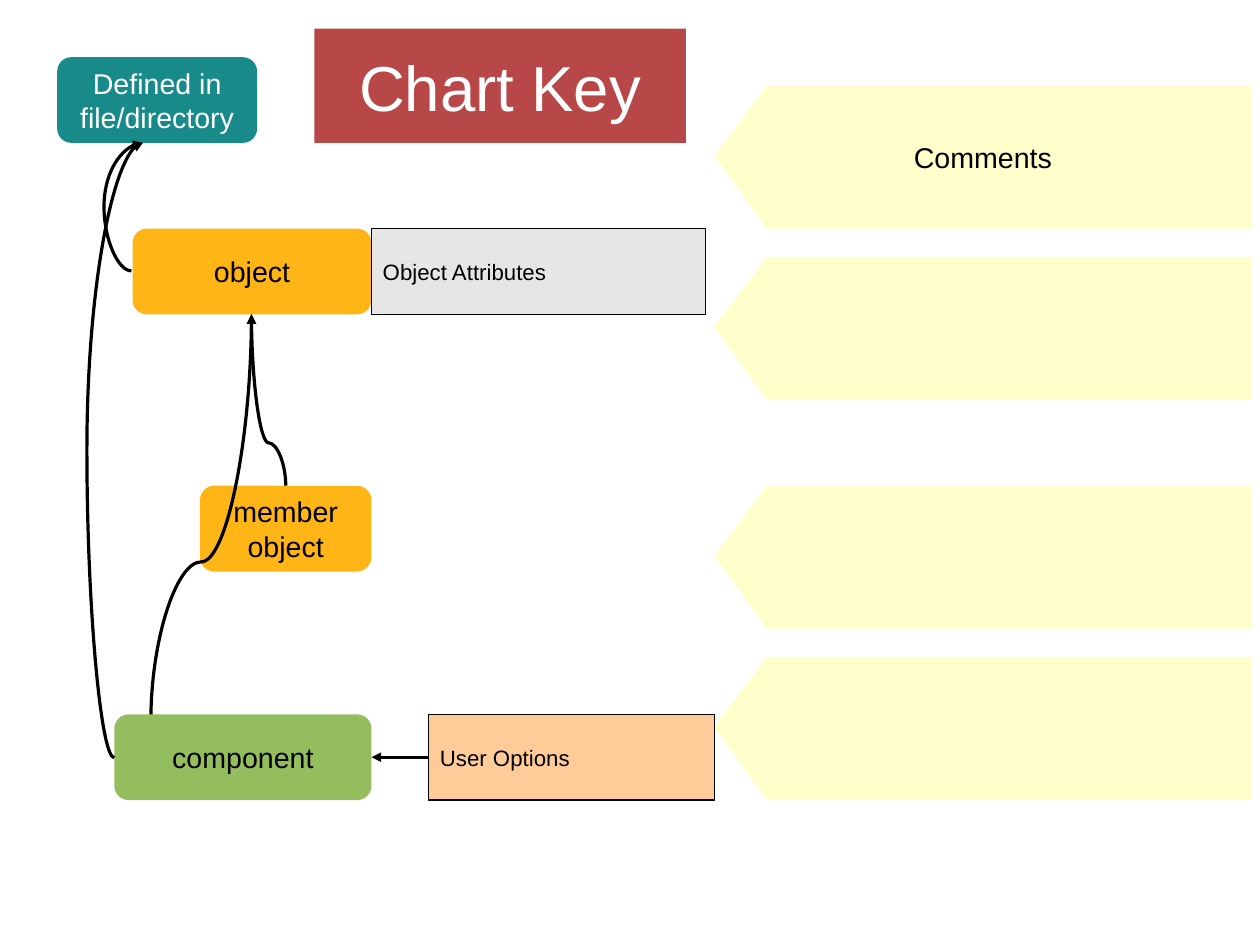
"""Builds the chart key slide: boxes, comment flags and curved links."""
from lxml import etree
from pptx import Presentation
from pptx.dml.color import RGBColor
from pptx.enum.shapes import MSO_CONNECTOR, MSO_SHAPE
from pptx.enum.text import MSO_ANCHOR, MSO_AUTO_SIZE, PP_ALIGN
from pptx.oxml.ns import qn
from pptx.util import Cm, Pt

CURVE, STRAIGHT = MSO_CONNECTOR.CURVE, MSO_CONNECTOR.STRAIGHT
ROUNDED, RECT = MSO_SHAPE.ROUNDED_RECTANGLE, MSO_SHAPE.RECTANGLE
LEFT, CENTER = PP_ALIGN.LEFT, PP_ALIGN.CENTER
MIDDLE, NO_FIT = MSO_ANCHOR.MIDDLE, MSO_AUTO_SIZE.NONE

GRID = 2.54
BLACK, WHITE = "000000", "FFFFFF"
ORANGE, GREEN, TEAL, RED = "FFB515", "94BD5E", "198A8A", "B84747"
GREY, PEACH, CREAM = "E6E6E6", "FFCC99", "FFFFCC"


def rgb(value):
    return RGBColor.from_string(value)


def grid(*values):
    return [Cm(v * GRID) for v in values]


class KeySlide:
    def __init__(self, prs, font="Arial"):
        self.s = prs.slides.add_slide(prs.slide_layouts[5])
        self.font = font

    def text(self, sp, lines, size, color, align):
        tf = sp.text_frame
        tf.word_wrap = True
        tf.auto_size = NO_FIT
        tf.vertical_anchor = MIDDLE
        for i, line in enumerate(lines):
            p = tf.add_paragraph() if i else tf.paragraphs[0]
            p.alignment = align
            r = p.add_run()
            r.text = line
            r.font.name = self.font
            r.font.size = Pt(size)
            r.font.color.rgb = rgb(color)

    def paint(self, sp, fill):
        sp.fill.solid()
        sp.fill.fore_color.rgb = rgb(fill)
        sp.line.fill.background()
        sp.shadow.inherit = False

    def node(self, box, fill, *lines, color=BLACK):
        sp = self.s.shapes.add_shape(ROUNDED, *grid(*box))
        self.paint(sp, fill)
        self.text(sp, lines, 18, color, CENTER)
        return sp

    def panel(self, box, fill, label):
        sp = self.s.shapes.add_shape(RECT, *grid(*box))
        self.paint(sp, fill)
        self.hairline(sp.line)
        self.text(sp, [label], 14, BLACK, LEFT)
        return sp

    def flag(self, top, *lines):
        left, neck, right, bottom = 6.25, 6.71, 10.95, top + 1.25
        outline = [(left, top + 0.61), (neck, top), (right, top), (right, bottom)]
        fb = self.s.shapes.build_freeform(*grid(neck, bottom))
        fb.add_line_segments([grid(*point) for point in outline], close=True)
        sp = fb.convert_to_shape()
        self.paint(sp, CREAM)
        self.text(sp, lines, 18, BLACK, CENTER)

    def title(self, box, fill, label):
        sp = self.s.shapes.title
        sp.left, sp.top, sp.width, sp.height = grid(*box)
        geom = etree.Element(qn("a:prstGeom"), prst="roundRect")
        etree.SubElement(geom, qn("a:avLst"))
        sp.element.spPr.find(qn("a:xfrm")).addnext(geom)
        self.paint(sp, fill)
        self.text(sp, [label], 40, WHITE, CENTER)
        tree = self.s.shapes.element
        tree.remove(sp.element)
        tree.append(sp.element)

    def hairline(self, line):
        line.fill.solid()
        line.fill.fore_color.rgb = rgb(BLACK)
        line.width = Pt(0)

    def arrow(self, kind, start, end):
        cx = self.s.shapes.add_connector(kind, *grid(*start, *end))
        self.hairline(cx.line)
        etree.SubElement(cx.line._get_or_add_ln(), qn("a:tailEnd"), type="triangle")
        etree.SubElement(cx.element.spPr, qn("a:effectLst"))
        return cx

    def curve(self, start, end, bend, upright=False):
        if upright:
            mx, my = (start[0] + end[0]) / 2, (start[1] + end[1]) / 2
            start, end = [(mx + my - y, my + x - mx) for x, y in (start, end)]
        cx = self.arrow(CURVE, start, end)
        spPr = cx.element.spPr
        if upright:
            spPr.find(qn("a:xfrm")).set("rot", str(270 * 60000))
        geom = spPr.find(qn("a:prstGeom"))
        av = geom.find(qn("a:avLst"))
        if av is None:
            av = etree.SubElement(geom, qn("a:avLst"))
        etree.SubElement(av, qn("a:gd"), name="adj1", fmla=f"val {round(bend * 100000)}")


def main():
    prs = Presentation()
    prs.slide_width, prs.slide_height = Cm(28), Cm(21)
    key = KeySlide(prs)
    object_base, file_base = (2.2, 2.75), (1.25, 1.25)

    key.node((1.16, 2, 2.09, 0.75), ORANGE, "object")
    key.node((1.75, 4.25, 1.5, 0.75), ORANGE, "member", "object")
    key.panel((3.25, 2, 2.92, 0.75), GREY, "Object Attributes")
    key.curve((2.5, 4.25), object_base, 0.25, upright=True)

    key.flag(0.75, "Comments")
    for top in (2.25, 4.25, 5.75):
        key.flag(top)

    key.curve((1.32, 6.3), object_base, 0.39, upright=True)
    component = key.node((1, 6.25, 2.25, 0.75), GREEN, "component")
    options = key.panel((3.75, 6.25, 2.5, 0.75), PEACH, "User Options")
    link = key.arrow(STRAIGHT, (3.75, 6.63), (3.25, 6.63))
    link.begin_connect(options, 1)
    link.end_connect(component, 3)

    key.node((0.5, 0.5, 1.75, 0.75), TEAL, "Defined in", "file/directory", color=WHITE)
    key.curve((1, 6.63), file_base, -0.96)
    key.curve((1.15, 2.37), file_base, -2.4)
    key.title((2.75, 0.25, 3.25, 1), RED, "Chart Key")
    prs.save("out.pptx")


if __name__ == "__main__":
    main()
